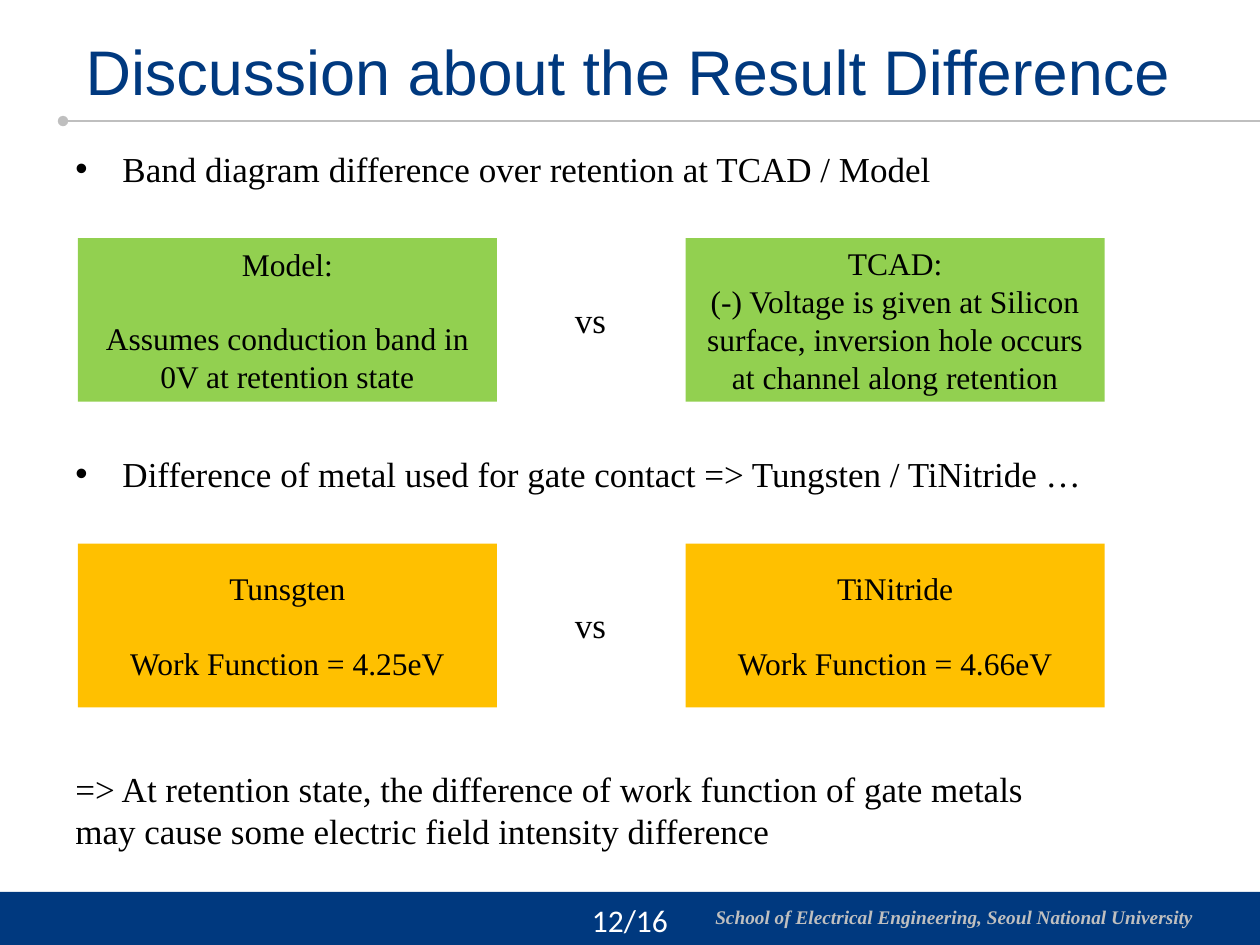
"""Build the slide that compares the model and TCAD results."""
from lxml.etree import SubElement as Sub
from pptx import Presentation
from pptx.dml.color import RGBColor as Rgb
from pptx.enum.shapes import MSO_CONNECTOR as Conn, MSO_SHAPE as Kind
from pptx.enum.text import MSO_ANCHOR as Anchor, PP_ALIGN as Align
from pptx.oxml.ns import qn
from pptx.util import Cm, Pt

NAVY = Rgb(0x00, 0x39, 0x7F)
GRAY = Rgb(0xBF, 0xBF, 0xBF)
GREEN = Rgb(0x92, 0xD0, 0x50)
AMBER = Rgb(0xFF, 0xC0, 0x00)
BLACK = Rgb(0, 0, 0)
WHITE = Rgb(0xFF, 0xFF, 0xFF)

TITLE = "Discussion about the Result Difference"
SCHOOL = "School of Electrical Engineering, Seoul National University"
PAGE = "12/16"
CLOSE = ("=> At retention state, the difference of work function of gate metals "
         "may cause some electric field intensity difference")
ROWS = [
    ("Band diagram difference over retention at TCAD / Model", GREEN, [
        (["Model:", "Assumes conduction band in 0V at retention state"], 21),
        (["TCAD:", "(-) Voltage is given at Silicon surface, inversion hole "
          "occurs at channel along retention"], 0)]),
    ("Difference of metal used for gate contact => Tungsten / TiNitride …", AMBER, [
        (["Tunsgten", "Work Function = 4.25eV"], 21),
        (["TiNitride", "Work Function = 4.66eV"], 21)]),
]
LEFT, TOP, PITCH = 1.27, 2.84, 6.16
COLS = (1.57, 13.82)
WIDE = 21

deck = Presentation()
deck.slide_width, deck.slide_height = Cm(25.4), Cm(19.05)
slide = deck.slides.add_slide(deck.slide_layouts[6])
shapes = slide.shapes


def block(x, y, w, h, fill):
    """Add a plain filled rectangle."""
    shape = shapes.add_shape(Kind.RECTANGLE, Cm(x), Cm(y), Cm(w), Cm(h))
    shape.shadow.inherit = False
    shape.fill.solid()
    shape.fill.fore_color.rgb = fill
    shape.line.fill.background()
    return shape


def label(x, y, w, h):
    """Add an empty text box."""
    return shapes.add_textbox(Cm(x), Cm(y), Cm(w), Cm(h))


def write(shape, *lines, size=20, face="Times New Roman", color=BLACK,
          align=Align.LEFT, anchor=Anchor.TOP, bold=False, italic=False,
          gap=0, pitch=None, bullet=False):
    """Fill a shape with paragraphs in one format."""
    frame = shape.text_frame
    frame.word_wrap = True
    frame.vertical_anchor = anchor
    for i, line in enumerate(lines):
        para = frame.add_paragraph() if i else frame.paragraphs[0]
        para.text = line
        para.alignment = align
        if i and gap:
            para.space_before = Pt(gap)
        if pitch:
            para.line_spacing = pitch
        if bullet:
            props = para._p.get_or_add_pPr()
            props.set("marL", str(Cm(0.95)))
            props.set("indent", str(-Cm(0.95)))
            Sub(props, qn("a:buFont"), typeface="Arial")
            Sub(props, qn("a:buChar"), char="•")
        font = para.font
        font.size, font.name = Pt(size), face
        font.bold, font.italic = bold, italic
        font.color.rgb = color


def rule(x, y, end):
    """Add the line with a round head under the title."""
    line = shapes.add_connector(Conn.STRAIGHT, Cm(x), Cm(y), Cm(end), Cm(y))
    line.line.color.rgb = GRAY
    line.line.width = Pt(0.75)
    Sub(line.line._get_or_add_ln(), qn("a:headEnd"), type="oval")
    Sub(line._element.spPr, qn("a:effectLst"))


block(-0.03, 17.98, 25.45, 1.09, NAVY)
write(label(14.17, 18.19, 11.23, 0.66), SCHOOL, size=11, color=GRAY,
      bold=True, italic=True, pitch=0.85)
write(label(0.64, 0.53, 24.03, 1.8), TITLE, size=36, face="Arial",
      color=NAVY, align=Align.CENTER)
rule(LEFT, 2.44, 25.4)
write(label(11.3, 18.03, 2.8, 1.02), PAGE, size=18, face="Calibri",
      color=WHITE, align=Align.CENTER)

for i, (head, fill, cells) in enumerate(ROWS):
    y = TOP + i * PITCH
    write(label(LEFT, y, WIDE, 1.12), head, bullet=True)
    for x, (lines, gap) in zip(COLS, cells):
        write(block(x, y + 1.96, 8.45, 3.3, fill), *lines, size=18, gap=gap,
              align=Align.CENTER, anchor=Anchor.MIDDLE)
    write(label(11.18, y + 3.05, 1.45, 1.12), "vs", align=Align.CENTER)

write(label(LEFT, 15.34, WIDE, 1.96), CLOSE)
deck.save("out.pptx")
